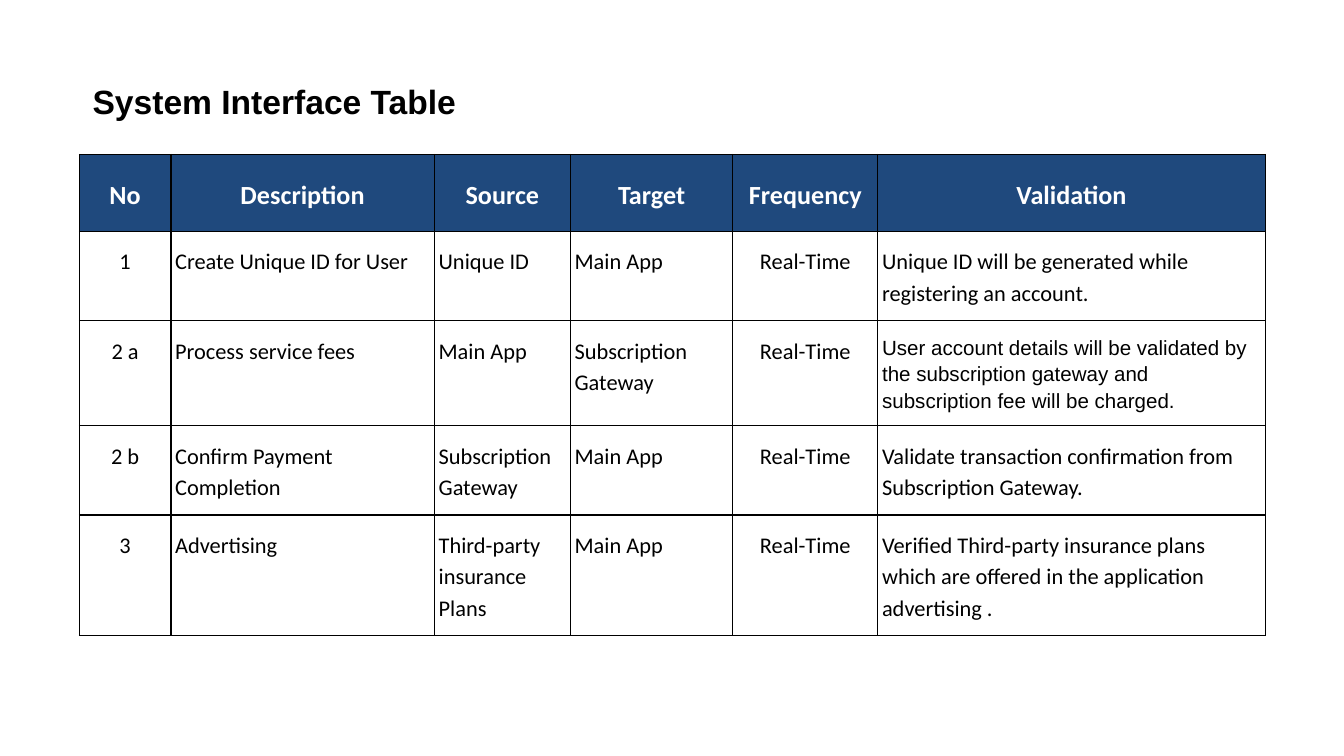
from lxml.etree import SubElement
from pptx import Presentation
from pptx.dml.color import RGBColor
from pptx.enum.text import MSO_ANCHOR as Anchor, MSO_AUTO_SIZE as AutoSize, PP_ALIGN as Align
from pptx.oxml.ns import qn
from pptx.util import Cm, Pt

TITLE = "System Interface Table"
COLUMNS = [
    ("No", 1.73, Align.CENTER),
    ("Description", 4.98, Align.LEFT),
    ("Source", 2.57, Align.LEFT),
    ("Target", 3.07, Align.LEFT),
    ("Frequency", 2.74, Align.CENTER),
    ("Validation", 7.32, Align.LEFT),
]
INTERFACES = [
    ("1", "Create Unique ID for User", "Unique ID", "Main App", "Real-Time",
     "Unique ID will be generated while registering an account."),
    ("2 a", "Process service fees", "Main App", "Subscription Gateway", "Real-Time",
     "User account details will be validated by the subscription gateway "
     "and subscription fee will be charged."),
    ("2 b", "Confirm Payment Completion", "Subscription Gateway", "Main App", "Real-Time",
     "Validate transaction confirmation from Subscription Gateway."),
    ("3", "Advertising", "Third-party insurance Plans", "Main App", "Real-Time",
     "Verified Third-party insurance plans which are offered in the application advertising ."),
]
FEE_VALIDATION = (2, 5)
NAVY, WHITE, BLACK = "1F497D", "FFFFFF", "000000"
LEFT, TABLE_TOP, ROW_HEIGHT = 1.5, 2.92, 1.45


def color(value):
    return RGBColor.from_string(value)


def style_text(paragraph, font_name, size, text_color, bold, align):
    paragraph.alignment = align
    font = paragraph.font
    font.name, font.size, font.bold = font_name, Pt(size), bold
    font.color.rgb = color(text_color)


def add_borders(cell):
    properties = cell._tc.get_or_add_tcPr()
    for side in ("a:lnL", "a:lnR", "a:lnT", "a:lnB"):
        border = SubElement(properties, qn(side), w=str(Pt(0.75)))
        fill = SubElement(border, qn("a:solidFill"))
        SubElement(fill, qn("a:srgbClr"), val=BLACK)


def fill_cell(cell, text, fill, anchor, *text_style):
    cell.text = text
    cell.margin_left = cell.margin_right = Cm(0.08)
    cell.margin_top = cell.margin_bottom = Cm(0.25)
    cell.vertical_anchor = anchor
    add_borders(cell)
    cell.fill.solid()
    cell.fill.fore_color.rgb = color(fill)
    paragraph = cell.text_frame.paragraphs[0]
    paragraph.line_spacing = 1.15
    style_text(paragraph, *text_style)


def add_heading(slide):
    heading = slide.shapes.title
    heading.left, heading.top = Cm(LEFT), Cm(1.27)
    heading.width, heading.height = Cm(8.86), Cm(2.11)
    frame = heading.text_frame
    frame.text = TITLE
    frame.word_wrap = True
    frame.auto_size = AutoSize.NONE
    frame.vertical_anchor = Anchor.TOP
    frame.margin_left = frame.margin_right = Cm(0.25)
    frame.margin_top = frame.margin_bottom = Cm(0.25)
    style_text(frame.paragraphs[0], "Arial", 18, BLACK, True, Align.LEFT)


def add_interfaces(slide):
    row_count = len(INTERFACES) + 1
    total_width = sum(width for _, width, _ in COLUMNS)
    interfaces = slide.shapes.add_table(
        row_count, len(COLUMNS), Cm(LEFT), Cm(TABLE_TOP),
        Cm(total_width), Cm(ROW_HEIGHT * row_count)).table
    interfaces.horz_banding = False
    for row in interfaces.rows:
        row.height = Cm(ROW_HEIGHT)
    for c, (label, width, align) in enumerate(COLUMNS):
        interfaces.columns[c].width = Cm(width)
        fill_cell(interfaces.cell(0, c), label, NAVY, Anchor.MIDDLE,
                  "Calibri", 14, WHITE, True, Align.CENTER)
        for r, entry in enumerate(INTERFACES, 1):
            font_name, size = ("Arial", 11) if (r, c) == FEE_VALIDATION else ("Calibri", 12)
            fill_cell(interfaces.cell(r, c), entry[c], WHITE, Anchor.TOP,
                      font_name, size, BLACK, False, align)


def main():
    deck = Presentation()
    deck.slide_width, deck.slide_height = Cm(25.4), Cm(14.29)
    slide = deck.slides.add_slide(deck.slide_layouts[5])
    add_interfaces(slide)
    add_heading(slide)
    deck.save("out.pptx")


if __name__ == "__main__":
    main()
